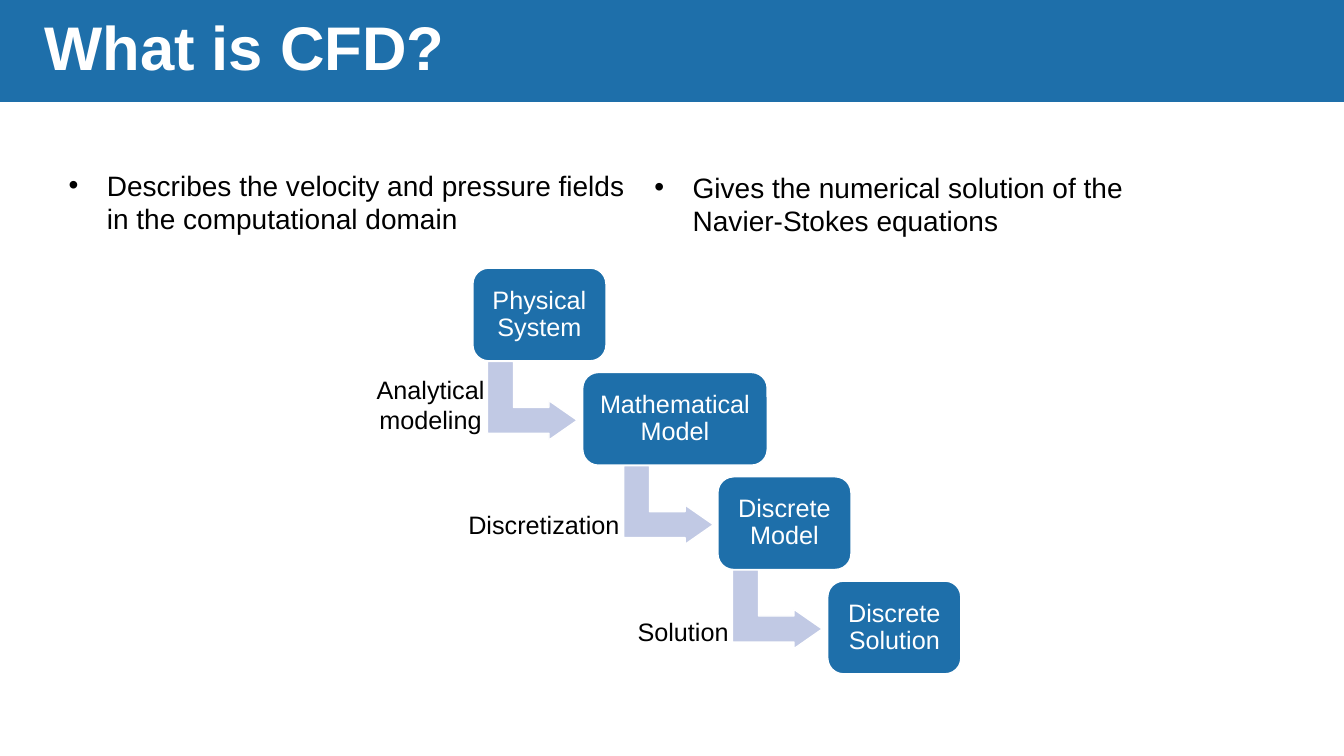
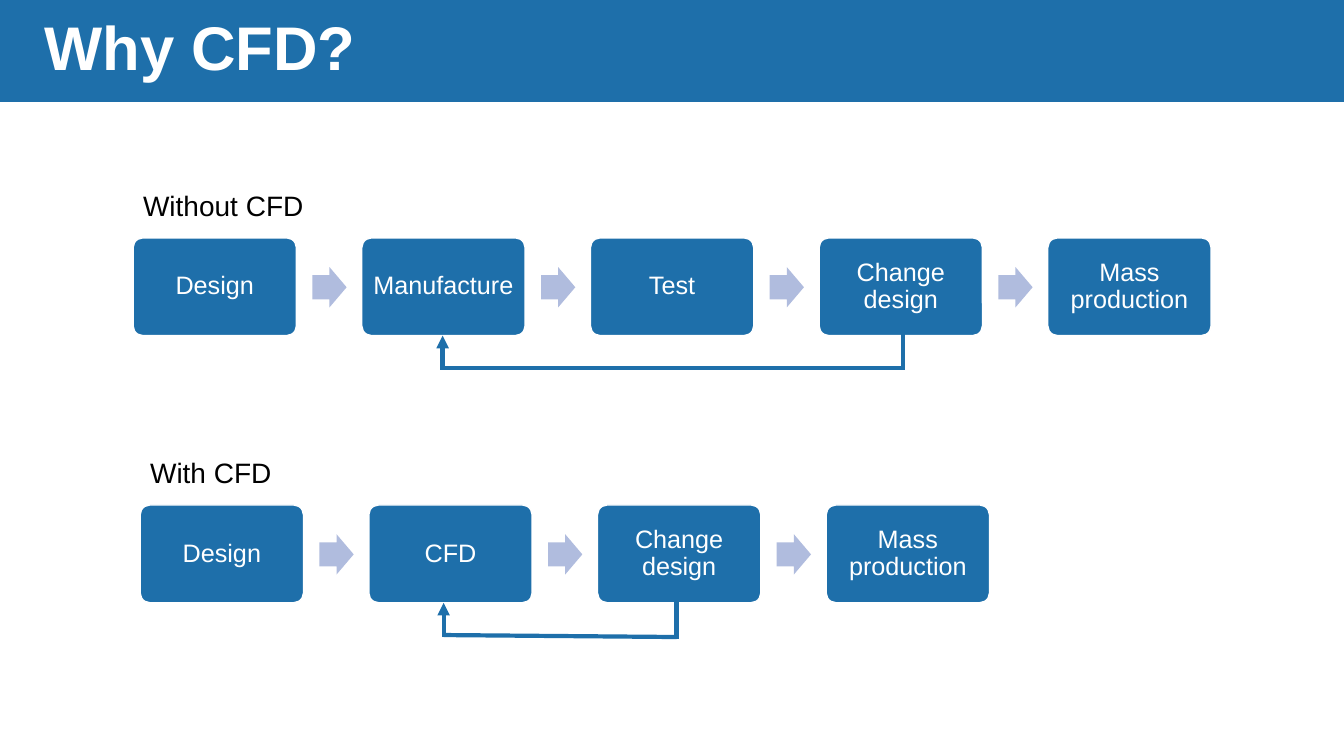
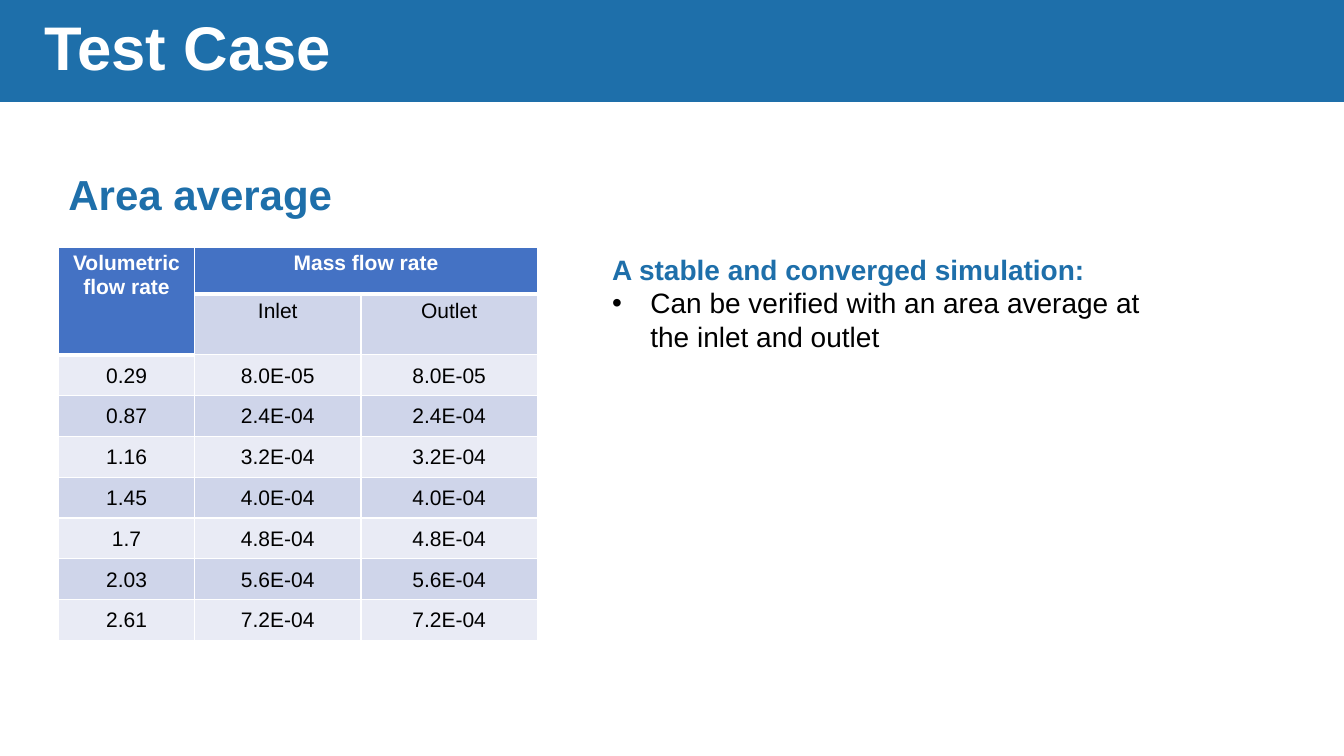
from dataclasses import dataclass

from lxml import etree
from pptx import Presentation
from pptx import util as u
from pptx.dml import color
from pptx.enum import shapes, text
from pptx.oxml import ns


@dataclass(frozen=True)
class Theme:
    font: str = "Arial"
    blue: str = "1E6FAA"
    white: str = "FFFFFF"
    black: str = "000000"
    bent_arrow: str = "C1C9E4"
    flow_arrow: str = "B0BCDE"
    header: str = "4472C4"
    band_dark: str = "CFD5EA"
    band_light: str = "E9EBF5"
    title: int = 44
    heading: int = 30
    body: int = 20
    label: int = 18
    cell: int = 15


theme = Theme()
align = text.PP_ALIGN
middle = text.MSO_ANCHOR.MIDDLE
preset = shapes.MSO_SHAPE


def write(frame, words, size=theme.body, ink=theme.black, bold=False, alignment=align.LEFT,
          spacing=1.0, bullet=False, append=False):
    paragraph = frame.add_paragraph() if append else frame.paragraphs[0]
    properties = paragraph._p.get_or_add_pPr()
    indent = u.Inches(0.38) if bullet else 0
    properties.set("marL", str(indent))
    properties.set("indent", str(-indent))
    if bullet:
        etree.SubElement(properties, ns.qn("a:buChar")).set("char", "•")
    else:
        etree.SubElement(properties, ns.qn("a:buNone"))
    paragraph.alignment = alignment
    paragraph.line_spacing = spacing
    paragraph.space_before = u.Pt(0)
    run = paragraph.add_run()
    run.text = words
    run.font.name = theme.font
    run.font.size = u.Pt(size)
    run.font.bold = bold
    run.font.color.rgb = color.RGBColor.from_string(ink)


def draw(slide, kind, place, fill, adjustments, outlined=True, words=""):
    shape = slide.shapes.add_shape(kind, *map(u.Inches, place))
    shape.shadow.inherit = False
    for index, value in enumerate(adjustments):
        shape.adjustments[index] = value
    shape.fill.solid()
    shape.fill.fore_color.rgb = color.RGBColor.from_string(fill)
    if outlined:
        shape.line.color.rgb = color.RGBColor.from_string(theme.white)
        shape.line.width = u.Pt(1)
    else:
        shape.line.fill.background()
    if words:
        frame = shape.text_frame
        frame.word_wrap = True
        frame.vertical_anchor = middle
        frame.margin_left = frame.margin_right = u.Inches(0.07)
        frame.margin_top = frame.margin_bottom = u.Inches(0.07)
        write(frame, words, size=theme.label, ink=theme.white, alignment=align.CENTER, spacing=0.9)
    return shape


presentation = Presentation()
presentation.slide_width = u.Inches(13.33)
presentation.slide_height = u.Inches(7.5)

slides = []
for heading, layout, bodies in [
    ("What is CFD?", 3, [(0.58, 1.62, 5.81, 0.77), (6.39, 1.64, 5.81, 0.77)]),
    ("Why CFD?", 5, []),
    ("Test Case", 1, [(5.97, 2.45, 5.65, 1.11)]),
]:
    slide = presentation.slides.add_slide(presentation.slide_layouts[layout])
    slides.append(slide)
    title = slide.shapes.title
    title.left, title.top, title.width, title.height = map(u.Inches, (0, 0, 13.33, 1.01))
    title.fill.solid()
    title.fill.fore_color.rgb = color.RGBColor.from_string(theme.blue)
    title.text_frame.margin_left = u.Inches(0.44)
    title.text_frame.vertical_anchor = middle
    title.text_frame.auto_size = text.MSO_AUTO_SIZE.NONE
    write(title.text_frame, heading, size=theme.title, ink=theme.white, bold=True, spacing=0.9)
    for index, place in enumerate(bodies, 1):
        body = slide.placeholders[index]
        body.left, body.top, body.width, body.height = map(u.Inches, place)
        body.text_frame.auto_size = text.MSO_AUTO_SIZE.NONE

definition, comparison, test_case = slides

for index, point in enumerate([
    "Describes the velocity and pressure fields in the computational domain",
    "Gives the numerical solution of the Navier-Stokes equations",
], 1):
    write(definition.placeholders[index].text_frame, point, bullet=True)

for row, (words, left, width, arrow_left) in enumerate([
    ("Physical System", 4.69, 1.32, 4.89),
    ("Mathematical Model", 5.78, 1.83, 6.24),
    ("Discrete Model", 7.12, 1.32, 7.32),
    ("Discrete Solution", 8.21, 1.32, None),
]):
    top = 2.66 + row * 1.035
    if arrow_left:
        arrow = draw(definition, preset.BENT_UP_ARROW, (arrow_left, top + 0.87, 0.78, 0.89),
                     theme.bent_arrow, (0.33, 0.25, 0.36))
        arrow.rotation = 90
    draw(definition, preset.ROUNDED_RECTANGLE, (left, top, width, 0.92),
         theme.blue, (0.17,), words=words)

for words, place in [
    ("Analytical modeling", (3.57, 3.66, 1.4, 0.71)),
    ("Discretization", (4.54, 5, 1.71, 0.4)),
    ("Solution", (6.18, 6.07, 1.19, 0.4)),
]:
    label = definition.shapes.add_textbox(*map(u.Inches, place))
    label.text_frame.word_wrap = True
    write(label.text_frame, words, size=theme.label, alignment=align.CENTER)

for name, left, top, label_width, steps, loop_start, loop_end, dip in [
    ("Without CFD", 1.32, 2.36, 1.81,
     ["Design", "Manufacture", "Test", "Change design", "Mass production"], 8.96, 4.39, 0),
    ("With CFD", 1.39, 5.01, 1.46,
     ["Design", "CFD", "Change design", "Mass production"], 6.71, 4.4, 0.02),
]:
    for index, step in enumerate(steps):
        step_left = left + index * 2.268
        if index:
            draw(comparison, preset.RIGHT_ARROW, (step_left - 0.49, top + 0.29, 0.34, 0.4),
                 theme.flow_arrow, (0.6, 0.5), outlined=False)
        draw(comparison, preset.ROUNDED_RECTANGLE, (step_left, top, 1.62, 0.97),
             theme.blue, (0.1,), words=step)
    turn = top + 1.29
    for ends in [
        (loop_start, top + 0.75, loop_start, turn + dip + 0.02),
        (loop_start, turn + dip, loop_end, turn),
        (loop_end, turn + 0.02, loop_end, top + 0.97),
    ]:
        line = comparison.shapes.add_connector(shapes.MSO_CONNECTOR.STRAIGHT, *map(u.Inches, ends))
        line.line.color.rgb = color.RGBColor.from_string(theme.blue)
        line.line.width = u.Pt(3)
        etree.SubElement(line._element.spPr, ns.qn("a:effectLst"))
    etree.SubElement(line.line._get_or_add_ln(), ns.qn("a:tailEnd")).set("type", "triangle")
    label = comparison.shapes.add_textbox(*map(u.Inches, (left, top - 0.54, label_width, 0.44)))
    label.text_frame.word_wrap = False
    write(label.text_frame, name)

section = test_case.shapes.add_textbox(*map(u.Inches, (0.58, 1.62, 2.84, 0.61)))
section.text_frame.word_wrap = False
write(section.text_frame, "Area average", size=theme.heading, ink=theme.blue, bold=True)

conclusion = test_case.placeholders[1].text_frame
write(conclusion, "A stable and converged simulation:", ink=theme.blue, bold=True)
write(conclusion, "Can be verified with an area average at the inlet and outlet", bullet=True, append=True)

flow_rates = [
    ("0.29", "8.0E-05"), ("0.87", "2.4E-04"), ("1.16", "3.2E-04"), ("1.45", "4.0E-04"),
    ("1.7", "4.8E-04"), ("2.03", "5.6E-04"), ("2.61", "7.2E-04"),
]
rows = [("Volumetric flow rate", "Mass flow rate", ""), ("", "Inlet", "Outlet")]
rows += [(volume, mass, mass) for volume, mass in flow_rates]
header_cells = {(0, 0), (1, 0), (0, 1), (0, 2)}
header_ends = header_cells - {(0, 0)}

table = test_case.shapes.add_table(len(rows), 3, *map(u.Inches, (0.58, 2.45, 4.75, 3.9))).table
table.first_row = table.horz_banding = False
for column, width in zip(table.columns, (1.35, 1.65, 1.75)):
    column.width = u.Inches(width)
for row, height in zip(table.rows, [0.47, 0.6] + [0.405] * len(flow_rates)):
    row.height = u.Inches(height)
table.cell(0, 0).merge(table.cell(1, 0))
table.cell(0, 1).merge(table.cell(0, 2))

for row, values in enumerate(rows):
    for column, words in enumerate(values):
        cell = table.cell(row, column)
        is_header = (row, column) in header_cells
        top_width = 3 if (row - 1, column) in header_ends else 1
        bottom_width = 3 if (row, column) in header_ends else 1
        properties = cell._tc.get_or_add_tcPr()
        for side, width in [("L", 1), ("R", 1), ("T", top_width), ("B", bottom_width)]:
            border = etree.SubElement(properties, ns.qn("a:ln" + side), w=str(u.Pt(width)))
            fill = etree.SubElement(border, ns.qn("a:solidFill"))
            etree.SubElement(fill, ns.qn("a:srgbClr"), val=theme.white)
        band = theme.band_dark if row % 2 else theme.band_light
        cell.fill.solid()
        cell.fill.fore_color.rgb = color.RGBColor.from_string(theme.header if is_header else band)
        if row > 1:
            cell.vertical_anchor = middle
            cell.margin_left = cell.margin_right = cell.margin_top = u.Inches(0.01)
            cell.margin_bottom = 0
        if words:
            write(cell.text_frame, words, size=theme.cell, bold=is_header,
                  ink=theme.white if is_header else theme.black, alignment=align.CENTER)

presentation.save("out.pptx")
